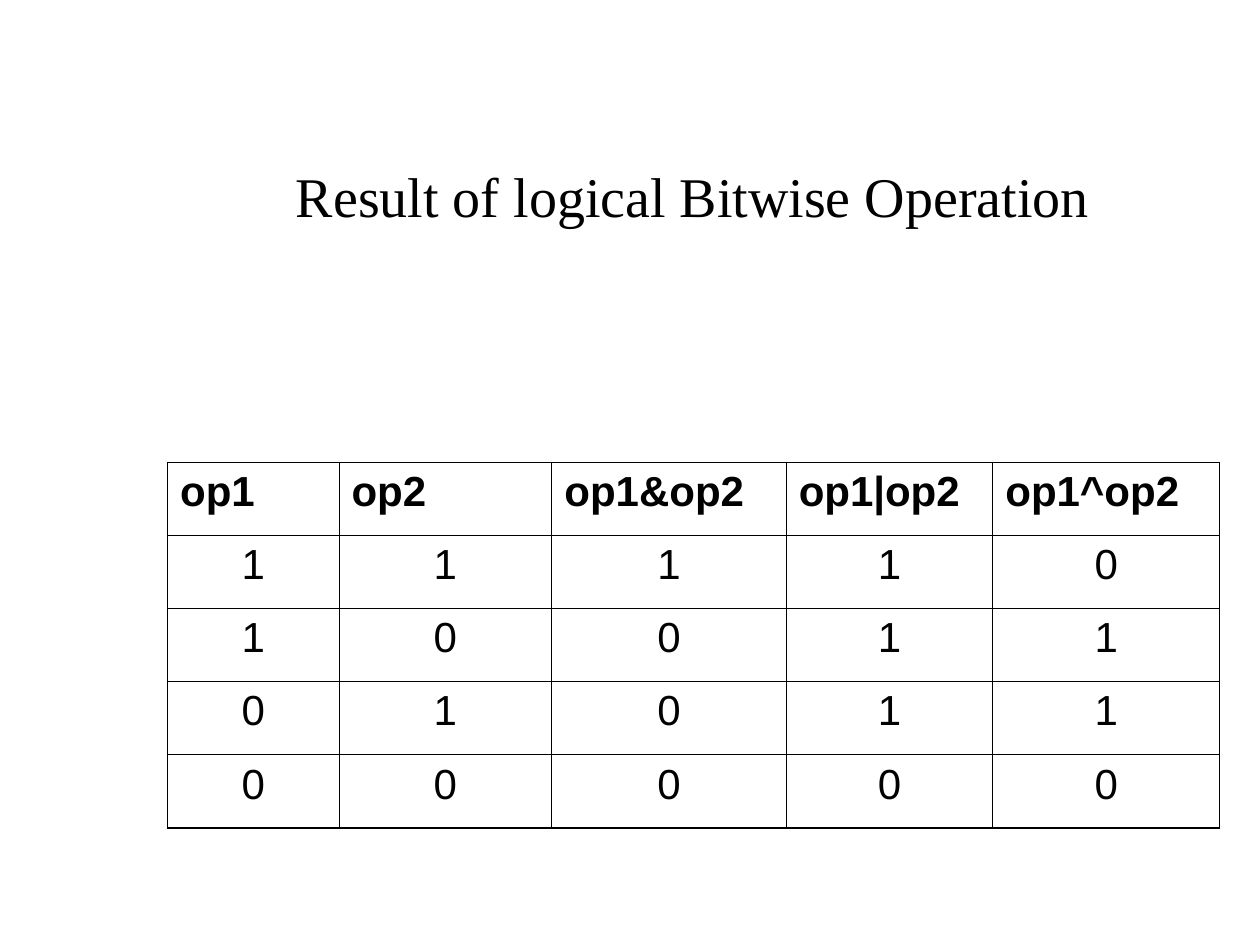
"""Build a slide with the truth table of the logical bitwise operators."""
from dataclasses import dataclass
from itertools import product

from lxml.etree import SubElement
from pptx import Presentation
from pptx.dml.color import RGBColor
from pptx.enum.text import MSO_ANCHOR, MSO_AUTO_SIZE, PP_ALIGN
from pptx.oxml.ns import qn
from pptx.util import Inches, Pt


@dataclass(frozen=True)
class Theme:
    ink: str = "000000"
    title_font: str = "Times New Roman"
    body_font: str = "Arial"
    title_size: int = 32
    body_size: int = 24
    outer_line: float = 1.08
    inner_line: float = 0.45


@dataclass(frozen=True)
class Column:
    head: str
    width: float
    values: list[int]


THEME = Theme()
PAIRS = list(product((1, 0), repeat=2))
COLUMNS = [
    Column("op1", 1.36, [a for a, b in PAIRS]),
    Column("op2", 1.69, [b for a, b in PAIRS]),
    Column("op1&op2", 1.86, [a & b for a, b in PAIRS]),
    Column("op1|op2", 1.64, [a | b for a, b in PAIRS]),
    Column("op1^op2", 1.8, [a ^ b for a, b in PAIRS]),
]
ROW_HEIGHT = 0.58


def add_run(p, text: str, font: str, size: int, bold: bool = False) -> None:
    r = p.add_run()
    r.text = text
    r.font.name = font
    r.font.size = Pt(size)
    r.font.bold = bold
    r.font.color.rgb = RGBColor.from_string(THEME.ink)


def add_tabs(p, count: int = 8) -> None:
    tabs = SubElement(p._p.get_or_add_pPr(), qn("a:tabLst"))
    for inch in range(count):
        SubElement(tabs, qn("a:tab"), pos=str(Inches(inch)), algn="l")


def set_borders(cell, outer: dict[str, bool]) -> None:
    tc_pr = cell._tc.get_or_add_tcPr()
    for i, (side, is_outer) in enumerate(outer.items()):
        width = THEME.outer_line if is_outer else THEME.inner_line
        ln = SubElement(tc_pr, qn(f"a:ln{side}"), w=str(Pt(width)))
        fill = SubElement(ln, qn("a:solidFill"))
        SubElement(fill, qn("a:srgbClr"), val=THEME.ink)
        tc_pr.insert(i, ln)


def add_title(s, text: str) -> None:
    sp = s.shapes.title
    sp.left, sp.top, sp.width, sp.height = map(Inches, (0.5, 0.92, 9, 1.25))
    tf = sp.text_frame
    tf.auto_size = MSO_AUTO_SIZE.NONE
    tf.vertical_anchor = MSO_ANCHOR.MIDDLE
    p = tf.paragraphs[0]
    p.alignment = PP_ALIGN.CENTER
    add_tabs(p)
    add_run(p, text, THEME.title_font, THEME.title_size)


def add_truth_table(s, left: float, top: float) -> None:
    rows, cols = len(PAIRS) + 1, len(COLUMNS)
    width = sum(c.width for c in COLUMNS)
    table = s.shapes.add_table(rows, cols, Inches(left), Inches(top),
                               Inches(width), Inches(ROW_HEIGHT * rows)).table
    table.first_row = table.horz_banding = False
    for row in table.rows:
        row.height = Inches(ROW_HEIGHT)
    for x, column in enumerate(COLUMNS):
        table.columns[x].width = Inches(column.width)
        for y, value in enumerate([column.head, *column.values]):
            cell = table.cell(y, x)
            cell.fill.background()
            set_borders(cell, {"L": x == 0, "R": x == cols - 1,
                               "T": y == 0, "B": y == rows - 1})
            p = cell.text_frame.paragraphs[0]
            p.alignment = PP_ALIGN.CENTER if y else PP_ALIGN.LEFT
            p.space_before = Pt(6)
            add_run(p, str(value), THEME.body_font, THEME.body_size, y == 0)


def main() -> None:
    prs = Presentation()
    prs.slide_width, prs.slide_height = Inches(10), Inches(7.5)
    s = prs.slides.add_slide(prs.slide_layouts[5])
    add_title(s, "\tResult of logical Bitwise Operation")
    add_truth_table(s, 1.33, 3.67)
    prs.save("out.pptx")


main()
